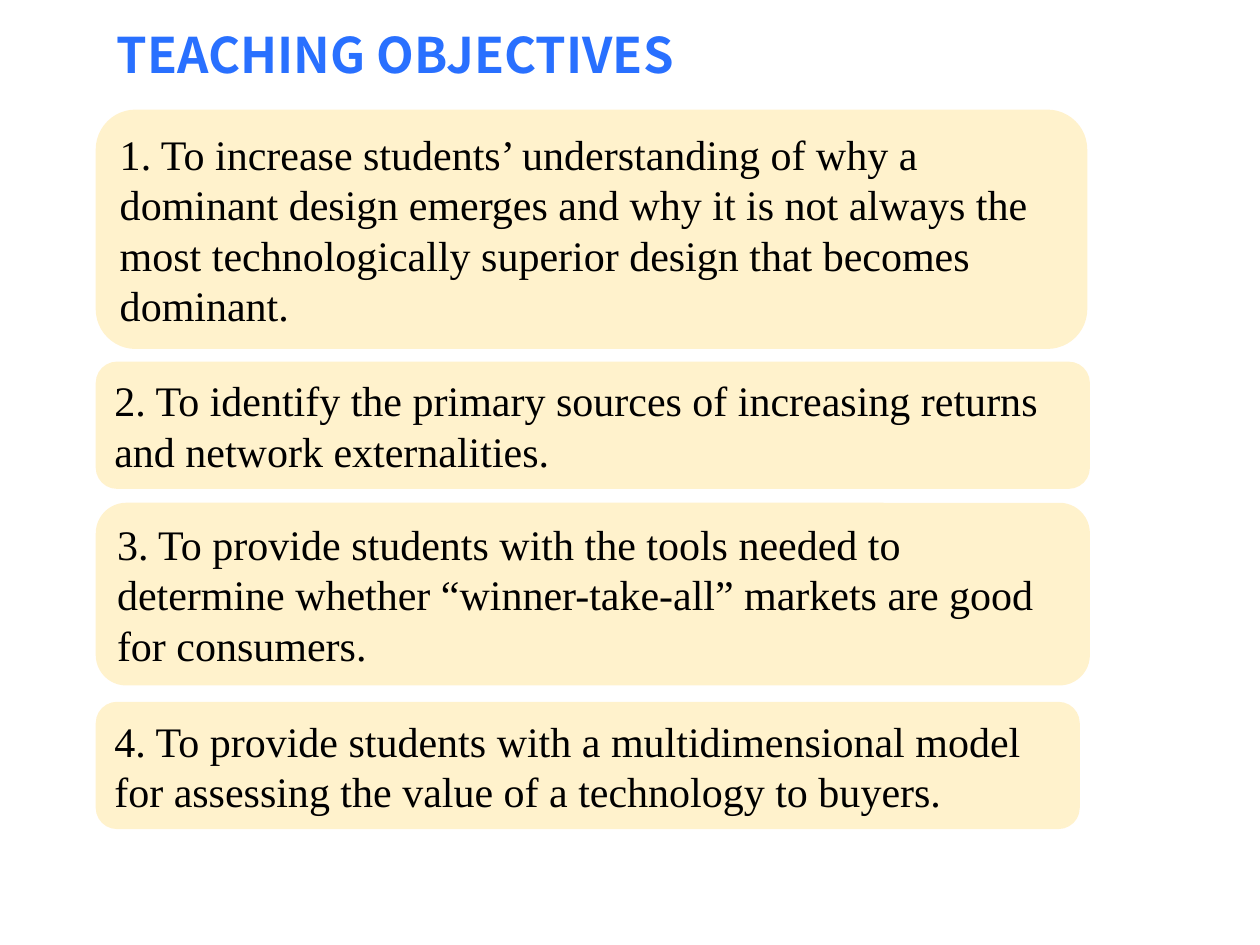
from lxml.etree import SubElement
from pptx import Presentation
from pptx.dml.color import RGBColor
from pptx.enum.shapes import MSO_SHAPE
from pptx.enum.text import MSO_ANCHOR, MSO_AUTO_SIZE, PP_ALIGN
from pptx.oxml.ns import qn
from pptx.util import Inches, Pt

TITLE_BLUE = RGBColor(0x29, 0x70, 0xFF)
AMBER = RGBColor(0xFF, 0xC0, 0x00)
BLACK = RGBColor(0, 0, 0)
TITLE_FONT = "Noto Sans CJK SC"
BODY_FONT = "Times New Roman"
CARD_LEFT = 0.76

# Top, width, height (inches) and wording of each objective
OBJECTIVES = [
    (0.87, 7.87, 1.9, "1. To increase students’ understanding of why a dominant design "
     "emerges and why it is not always the most technologically superior design "
     "that becomes dominant."),
    (2.87, 7.89, 1.01, "2. To identify the primary sources of increasing returns and "
     "network externalities."),
    (3.99, 7.89, 1.45, "3. To provide students with the tools needed to determine whether "
     "“winner-take-all” markets are good for consumers."),
    (5.57, 7.81, 1.01, "4. To provide students with a multidimensional model for assessing "
     "the value of a technology to buyers."),
]


def add_run(paragraph, text, font, size, color, bold=False):
    run = paragraph.add_run()
    run.text = text
    run.font.name = font
    run.font.size = Pt(size)
    run.font.color.rgb = color
    run.font.bold = bold


def set_opacity(shape, percent):
    color = shape.fill._xPr.find(qn("a:solidFill"))[0]
    SubElement(color, qn("a:alpha"), val=str(percent * 1000))


def add_title(slide, text):
    box = slide.shapes.add_textbox(Inches(0.83), Inches(0.11), Inches(8.41), Inches(0.7))
    frame = box.text_frame
    frame.word_wrap = True
    frame.vertical_anchor = MSO_ANCHOR.MIDDLE
    paragraph = frame.paragraphs[0]
    paragraph.line_spacing = 0.9
    add_run(paragraph, text, TITLE_FONT, 28, TITLE_BLUE, bold=True)


def add_objective(slide, top, width, height, text):
    shape = slide.shapes.add_shape(MSO_SHAPE.ROUNDED_RECTANGLE, Inches(CARD_LEFT),
                                   Inches(top), Inches(width), Inches(height))
    shape.shadow.inherit = False
    shape.fill.solid()
    shape.fill.fore_color.rgb = AMBER
    set_opacity(shape, 20)
    shape.line.fill.background()

    frame = shape.text_frame
    frame.word_wrap = True
    frame.auto_size = MSO_AUTO_SIZE.SHAPE_TO_FIT_TEXT
    frame.vertical_anchor = MSO_ANCHOR.MIDDLE
    paragraph = frame.paragraphs[0]
    paragraph.alignment = PP_ALIGN.LEFT
    add_run(paragraph, text, BODY_FONT, 24, BLACK)


def main():
    presentation = Presentation()
    presentation.slide_width = Inches(10)
    presentation.slide_height = Inches(7.5)
    slide = presentation.slides.add_slide(presentation.slide_layouts[6])

    add_title(slide, "TEACHING OBJECTIVES")
    for objective in OBJECTIVES:
        add_objective(slide, *objective)

    presentation.save("out.pptx")


if __name__ == "__main__":
    main()
